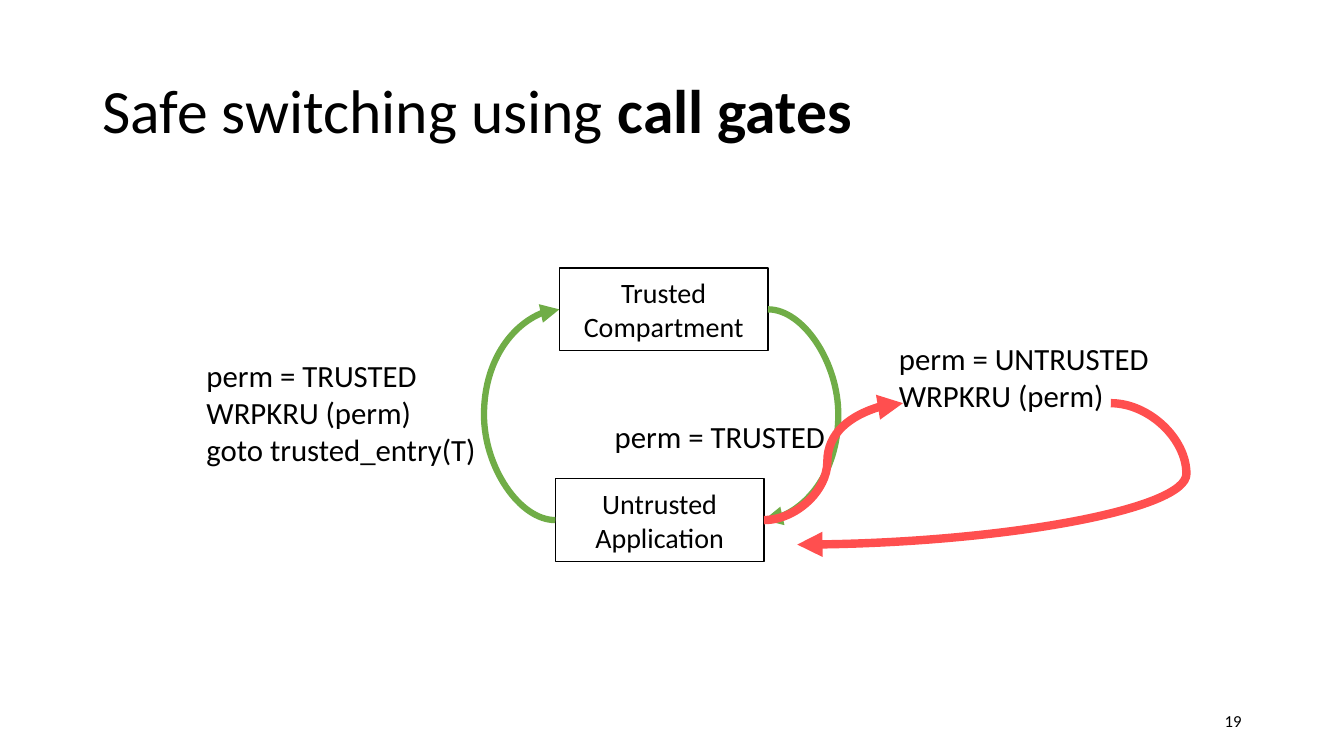
from lxml import etree
from pptx import Presentation
from pptx.dml.color import RGBColor
from pptx.enum.shapes import MSO_CONNECTOR as Connector, MSO_SHAPE as Shape
from pptx.enum.text import MSO_ANCHOR as Anchor, PP_ALIGN as Align
from pptx.oxml.ns import qn
from pptx.util import Pt

THEME = {
    "font": "Calibri",
    "black": RGBColor.from_string("000000"),
    "white": RGBColor.from_string("FFFFFF"),
    "green": RGBColor.from_string("70AD47"),
    "red": RGBColor.from_string("FF4F4F"),
    "title": 44,
    "code": 22,
    "box": 20,
    "number": 12,
}


def write_text(shape, text, size, align=Align.LEFT, anchor=Anchor.TOP, spacing=1.0):
    frame = shape.text_frame
    frame.word_wrap = True
    frame.vertical_anchor = anchor
    for index, line in enumerate(text.split("\n")):
        paragraph = frame.add_paragraph() if index else frame.paragraphs[0]
        paragraph.alignment = align
        paragraph.line_spacing = spacing
        for part, words in enumerate(line.split("**")):
            if words:
                run = paragraph.add_run()
                run.text = words
                run.font.name = THEME["font"]
                run.font.size = Pt(size)
                run.font.bold = part % 2 == 1
                run.font.color.rgb = THEME["black"]


def add_curved_arrow(slide, tip, tail, bend, color, width):
    points = [Pt(value) for value in (*tip, *tail)]
    arrow = slide.shapes.add_connector(Connector.CURVE, *points)
    arrow.line.color.rgb = color
    arrow.line.width = Pt(width)
    properties = arrow.line._get_or_add_ln()
    etree.SubElement(properties, qn("a:headEnd"), type="triangle")
    etree.SubElement(arrow._element.spPr, qn("a:effectLst"))
    ratio = round((bend - tip[0]) / (tail[0] - tip[0]) * 100000)
    guides = arrow._element.spPr.find(qn("a:prstGeom")).get_or_add_avLst()
    etree.SubElement(guides, qn("a:gd"), name="adj1", fmla=f"val {ratio}")


presentation = Presentation()
presentation.slide_width = Pt(960)
presentation.slide_height = Pt(540)
slide = presentation.slides.add_slide(presentation.slide_layouts[6])

title = slide.shapes.add_textbox(Pt(66), Pt(28.75), Pt(828), Pt(104.4))
write_text(title, "Safe switching using **call gates**", THEME["title"],
           anchor=Anchor.MIDDLE, spacing=0.9)

number = slide.shapes.add_textbox(Pt(678), Pt(500.5), Pt(216), Pt(28.75))
write_text(number, "19", THEME["number"], align=Align.RIGHT, anchor=Anchor.MIDDLE)

BOX_WIDTH, BOX_HEIGHT = 149, 59
trusted_left, trusted_top = 399.6, 191.5
untrusted_left, untrusted_top = 396.7, 342
boxes = [
    ("Trusted\nCompartment", trusted_left, trusted_top),
    ("Untrusted\nApplication", untrusted_left, untrusted_top),
]
for label, left, top in boxes:
    box = slide.shapes.add_shape(Shape.RECTANGLE, Pt(left), Pt(top), Pt(BOX_WIDTH), Pt(BOX_HEIGHT))
    box.shadow.inherit = False
    box.fill.solid()
    box.fill.fore_color.rgb = THEME["white"]
    box.line.color.rgb = THEME["black"]
    box.line.width = Pt(1)
    write_text(box, label, THEME["box"], align=Align.CENTER, anchor=Anchor.MIDDLE)

trusted_middle = trusted_top + BOX_HEIGHT / 2
untrusted_middle = untrusted_top + BOX_HEIGHT / 2
trusted_right = trusted_left + BOX_WIDTH
untrusted_right = untrusted_left + BOX_WIDTH

code_blocks = [
    ("perm = TRUSTED\nWRPKRU (perm)\ngoto trusted_entry(T)", 140.4, 251.3, 246.2, 87.1),
    ("perm = UNTRUSTED\nWRPKRU (perm)", 635, 239, 250.6, 60.5),
    ("perm = TRUSTED", 432, 295, 250.6, 33.8),
]
for code, left, top, width, height in code_blocks:
    block = slide.shapes.add_textbox(Pt(left), Pt(top), Pt(width), Pt(height))
    write_text(block, code, THEME["code"])

arrows = [
    ((untrusted_right, untrusted_middle), (trusted_right, trusted_middle), 599, "green", 4.5),
    ((trusted_left, trusted_middle), (untrusted_left, untrusted_middle), 345.6, "green", 4.5),
    ((645, 288), (untrusted_right, untrusted_middle), 591, "red", 6),
    ((569.5, 389), (793.5, 288), 847.4, "red", 6),
]
for tip, tail, bend, color, width in arrows:
    add_curved_arrow(slide, tip, tail, bend, THEME[color], width)

presentation.save("out.pptx")
